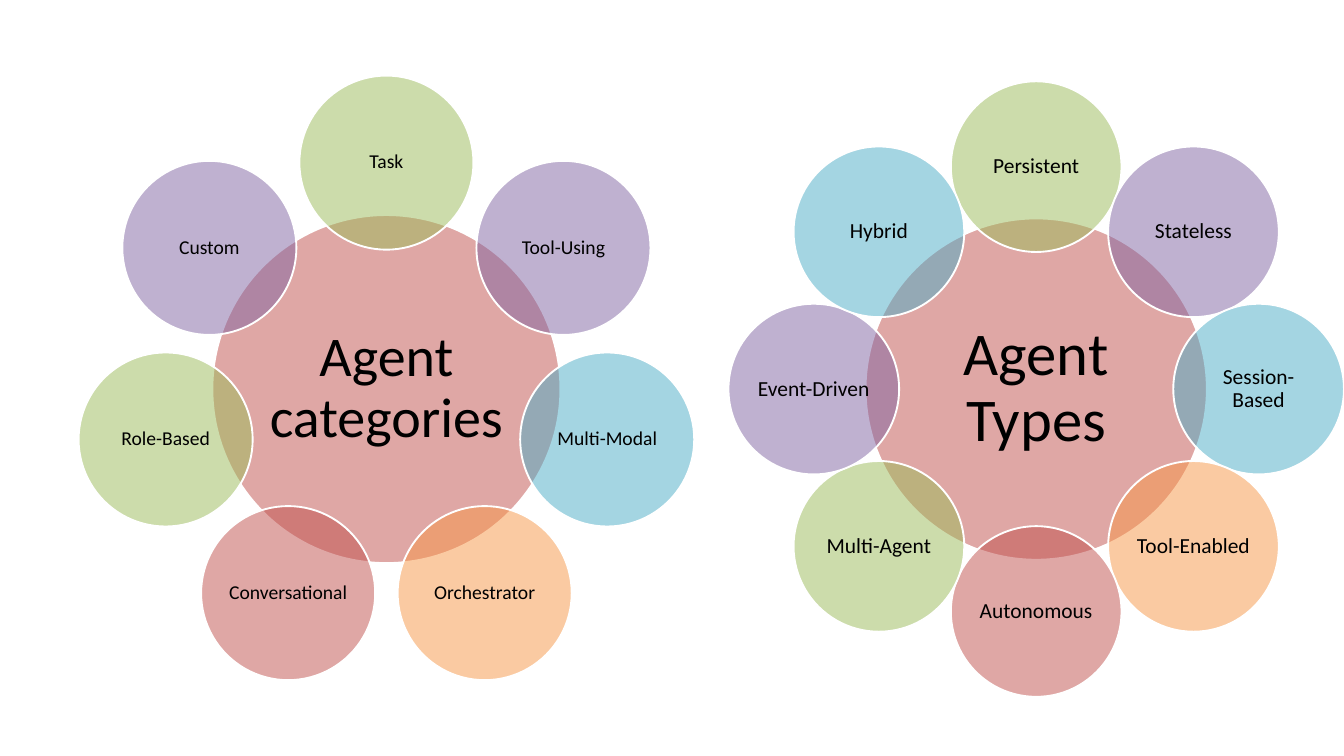
from itertools import cycle
from math import cos, pi, sin

from lxml.etree import SubElement
from pptx import Presentation
from pptx.dml.color import RGBColor
from pptx.enum.shapes import MSO_SHAPE as Shape
from pptx.enum.text import MSO_ANCHOR as Anchor, PP_ALIGN as Align
from pptx.oxml.ns import qn
from pptx.util import Pt

PX = 9144
COLORS = {
    "red": "C0504D",
    "green": "9BBB59",
    "purple": "8064A2",
    "teal": "4BACC6",
    "orange": "F79646",
    "outline": "FFFFFF",
    "text": "000000",
}
PETAL_COLORS = ["green", "purple", "teal", "orange", "red"]
CATEGORIES = ["Task", "Tool-Using", "Multi-Modal", "Orchestrator",
              "Conversational", "Role-Based", "Custom"]
TYPES = ["Persistent", "Stateless", "Session-Based", "Tool-Enabled",
         "Autonomous", "Multi-Agent", "Event-Driven", "Hybrid"]


def px(n):
    """Turn px into EMU."""
    return round(n * PX)


def rgb(name):
    """Look up a named colour."""
    return RGBColor.from_string(COLORS[name])


def fill_half(s, color):
    """Fill a shape with a half-transparent colour."""
    s.fill.solid()
    s.fill.fore_color.rgb = rgb(color)
    clr = s.fill._xPr.find(qn("a:solidFill")).find(qn("a:srgbClr"))
    SubElement(clr, qn("a:alpha"), val="50000")


def set_label(s, text, size, inset):
    """Write centred text inside a circle."""
    tf = s.text_frame
    tf.text = text
    tf.word_wrap = True
    tf.vertical_anchor = Anchor.MIDDLE
    tf.margin_left = tf.margin_right = tf.margin_top = tf.margin_bottom = px(inset)
    p = tf.paragraphs[0]
    p.alignment = Align.CENTER
    p.line_spacing = 0.9
    font = p.runs[0].font
    font.name = "Calibri"
    font.size = Pt(size)
    font.color.rgb = rgb("text")


def add_circle(group, x, y, diameter, color, text, size, inset):
    """Add a labelled circle centred on x, y."""
    left, top = x - diameter / 2, y - diameter / 2
    s = group.shapes.add_shape(Shape.OVAL, px(left), px(top), px(diameter), px(diameter))
    s.shadow.inherit = False
    fill_half(s, color)
    s.line.color.rgb = rgb("outline")
    s.line.width = Pt(2)
    set_label(s, text, size, inset)


def add_radial_venn(slide, x, y, orbit, petal, hub_text, hub_size, labels, label_size):
    """Add a hub twice the petal size with petals spread clockwise around it."""
    group = slide.shapes.add_group_shape()
    add_circle(group, x, y, 2 * petal, "red", hub_text, hub_size, 8)
    for i, (label, color) in enumerate(zip(labels, cycle(PETAL_COLORS))):
        angle = 2 * pi * i / len(labels)
        add_circle(group, x + orbit * sin(angle), y - orbit * cos(angle),
                   petal, color, label, label_size, 3)


def main():
    """Build the slide with both diagrams."""
    prs = Presentation()
    prs.slide_width, prs.slide_height = px(2000), px(1125)
    slide = prs.slides.add_slide(prs.slide_layouts[6])
    add_radial_venn(slide, 575, 579, 337, 259, "Agent categories", 60, CATEGORIES, 21)
    add_radial_venn(slide, 1542, 579, 331, 254, "Agent Types", 65, TYPES, 23)
    prs.save("out.pptx")


if __name__ == "__main__":
    main()
